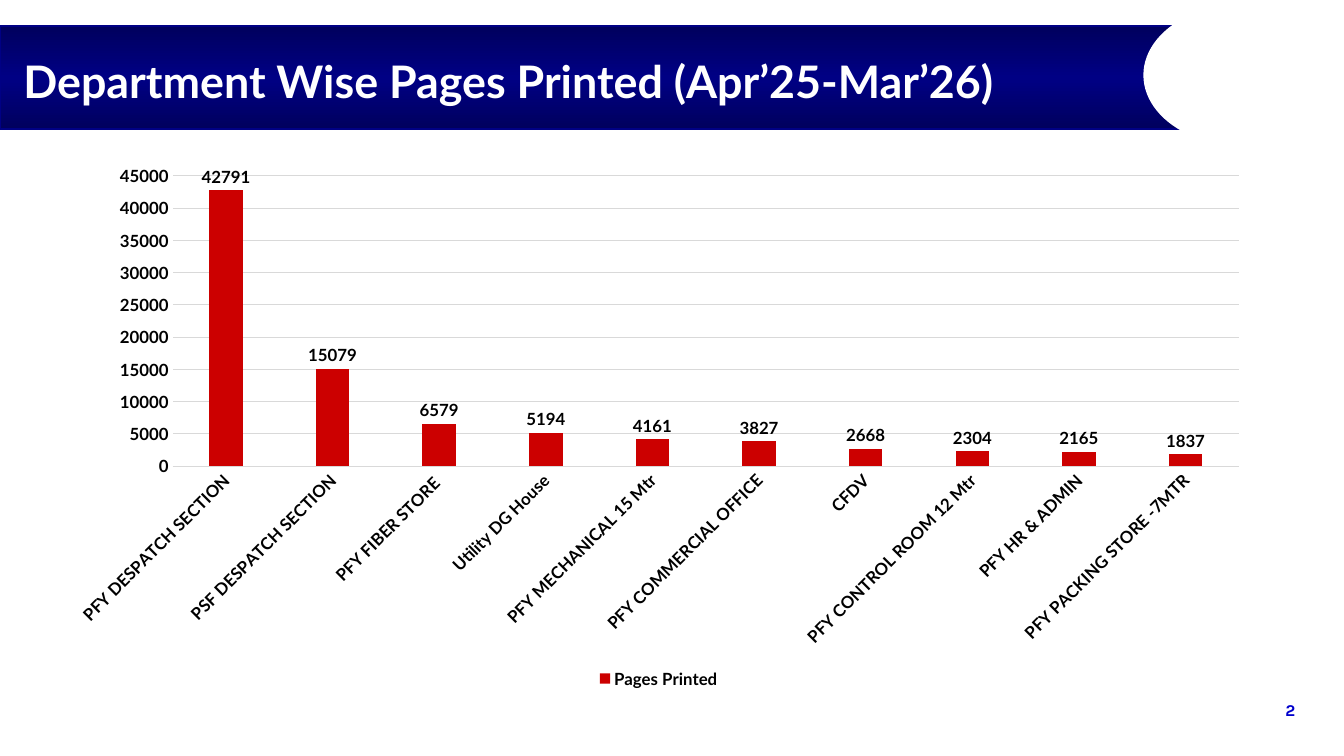
"""Build a slide with a column chart of pages printed by department."""
from copy import deepcopy
from dataclasses import dataclass

from pptx import Presentation
from pptx.chart.data import CategoryChartData
from pptx.dml.color import RGBColor
from pptx.enum.chart import XL_CHART_TYPE, XL_LABEL_POSITION, XL_LEGEND_POSITION, XL_TICK_MARK
from pptx.enum.shapes import MSO_SHAPE
from pptx.enum.text import MSO_ANCHOR, PP_ALIGN
from pptx.util import Pt


@dataclass(frozen=True)
class Theme:
    navy: str = "000084"
    navy_dark: str = "00005E"
    white: str = "FFFFFF"
    black: str = "000000"
    number: str = "0000CC"
    bar: str = "CC0000"
    grid: str = "D9D9D9"
    font: str = "Lato"
    number_font: str = "Karla"
    title_size: float = 32
    chart_size: float = 12
    number_size: float = 11.8


def style_font(font, name, size, color):
    for key, value in {"name": name, "size": Pt(size), "bold": True}.items():
        setattr(font, key, value)
    font.color.rgb = RGBColor.from_string(color)


def style_line(line, color, width):
    line.color.rgb = RGBColor.from_string(color)
    line.width = Pt(width)


theme = Theme()
pages = {
    "PFY DESPATCH SECTION": 42791,
    "PSF DESPATCH SECTION": 15079,
    "PFY FIBER STORE ": 6579,
    "Utility DG House": 5194,
    "PFY MECHANICAL 15 Mtr": 4161,
    "PFY COMMERCIAL OFFICE": 3827,
    "CFDV": 2668,
    "PFY CONTROL ROOM 12 Mtr": 2304,
    "PFY HR & ADMIN": 2165,
    "PFY PACKING STORE -7MTR": 1837,
}

prs = Presentation()
prs.slide_width, prs.slide_height = Pt(960), Pt(540)
s = prs.slides.add_slide(prs.slide_layouts[5])

band = s.shapes.add_shape(MSO_SHAPE.RECTANGLE, Pt(0), Pt(18.7), Pt(845.3), Pt(73.4))
band.shadow.inherit = False
band.fill.gradient()
band.fill.gradient_angle = 90
first, middle = band.fill.gradient_stops
first.color.rgb = RGBColor.from_string(theme.navy_dark)
middle.color.rgb = RGBColor.from_string(theme.navy)
middle.position = 0.5
stops = band.element.xpath(".//a:gsLst")[0]
last = deepcopy(stops[0])
last.set("pos", "100000")
stops.append(last)
style_line(band.line, theme.navy, 1.5)

notch = s.shapes.add_shape(MSO_SHAPE.OVAL, Pt(817.2), Pt(3.6), Pt(140.4), Pt(100.1))
notch.shadow.inherit = False
notch.fill.solid()
notch.fill.fore_color.rgb = RGBColor.from_string(theme.white)
style_line(notch.line, theme.white, 1)

title = s.shapes.title
title.element.getparent().append(title.element)
number = s.shapes.add_textbox(Pt(856.1), Pt(496.8), Pt(69.1), Pt(21.6))
title_box = {"left": Pt(16.6), "top": Pt(18), "width": Pt(793.4), "height": Pt(79.2)}
for key, value in title_box.items():
    setattr(title, key, value)

labels = [
    (title, "Department Wise Pages Printed (Apr’25-Mar’26)", PP_ALIGN.LEFT, MSO_ANCHOR.MIDDLE, 0,
     theme.font, theme.title_size, theme.white),
    (number, "2", PP_ALIGN.RIGHT, MSO_ANCHOR.TOP, 3.6,
     theme.number_font, theme.number_size, theme.number),
]
for sp, text, align, anchor, inset, name, size, color in labels:
    tf = sp.text_frame
    frame = {"word_wrap": True, "vertical_anchor": anchor, "margin_left": 0, "margin_right": 0,
             "margin_top": Pt(inset), "margin_bottom": Pt(inset)}
    for key, value in frame.items():
        setattr(tf, key, value)
    p = tf.paragraphs[0]
    p.alignment = align
    r = p.add_run()
    r.text = text
    style_font(r.font, name, size, color)

data = CategoryChartData()
data.categories = list(pages)
data.add_series("Pages Printed", list(pages.values()))
chart = s.shapes.add_chart(XL_CHART_TYPE.COLUMN_CLUSTERED, Pt(38.9), Pt(110.9), Pt(863.3), Pt(383.8),
                           data).chart
chart.has_title = False
chart.has_legend = True
chart.legend.position = XL_LEGEND_POSITION.BOTTOM
chart.legend.include_in_layout = False

plot = chart.plots[0]
for key, value in {"gap_width": 219, "overlap": -27, "vary_by_categories": False,
                   "has_data_labels": True}.items():
    setattr(plot, key, value)
plot.data_labels.show_value = True
plot.data_labels.position = XL_LABEL_POSITION.OUTSIDE_END
bars = plot.series[0].format.fill
bars.solid()
bars.fore_color.rgb = RGBColor.from_string(theme.bar)

cat, val = chart.category_axis, chart.value_axis
for axis in (cat, val):
    axis.major_tick_mark = axis.minor_tick_mark = XL_TICK_MARK.NONE
for key, value in {"minimum_scale": 0, "maximum_scale": 45000, "major_unit": 5000,
                   "has_major_gridlines": True}.items():
    setattr(val, key, value)
val.format.line.fill.background()
for line in (cat.format.line, val.major_gridlines.format.line):
    style_line(line, theme.grid, 0.75)
for part in (chart, chart.legend, plot.data_labels, cat.tick_labels, val.tick_labels):
    style_font(part.font, theme.font, theme.chart_size, theme.black)
chart.element.xpath(".//c:catAx/c:txPr/a:bodyPr")[0].set("rot", "-2700000")

prs.save("out.pptx")
